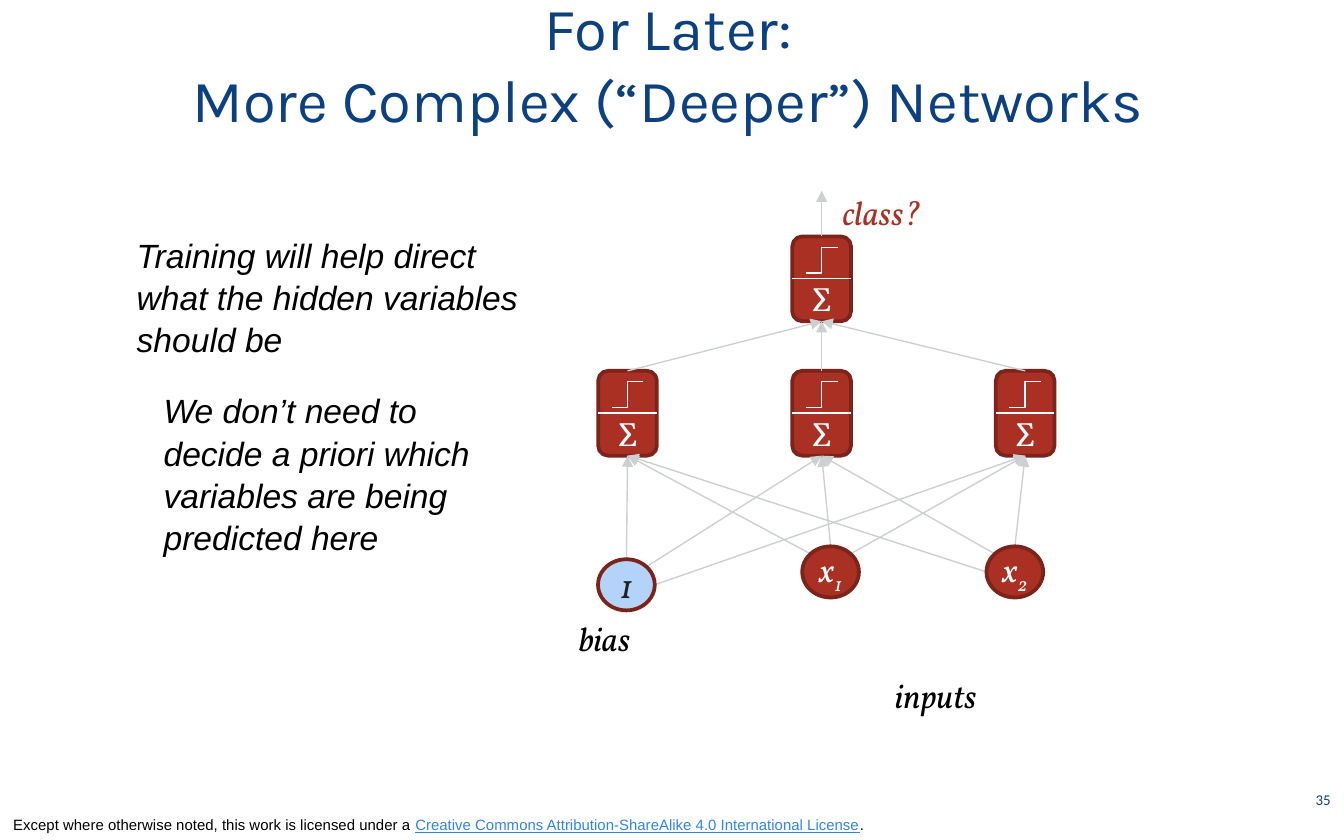
from collections import namedtuple
from math import cos, radians, sin

from pptx import Presentation
from pptx.dml.color import RGBColor
from pptx.enum import shapes, text
from pptx.oxml.ns import qn
from pptx.util import Pt
from lxml import etree

NAVY = RGBColor(0x0B, 0x41, 0x83)
BLACK = RGBColor(0, 0, 0)
INK = RGBColor(0x21, 0x21, 0x21)
WHITE = RGBColor(0xFF, 0xFF, 0xFF)
RED = RGBColor(0xA9, 0x30, 0x23)
DARK_RED = RGBColor(0x7D, 0x24, 0x1A)
PALE_BLUE = RGBColor(0xB4, 0xD3, 0xF8)
LINK_BLUE = RGBColor(0x30, 0x85, 0xED)
GRAY = RGBColor(0xCD, 0xD0, 0xD1)

SANS, SERIF = "Arial", "Vollkorn"
LEFT, CENTER, RIGHT = text.PP_ALIGN.LEFT, text.PP_ALIGN.CENTER, text.PP_ALIGN.RIGHT
TOP, MIDDLE, BOTTOM = (text.MSO_ANCHOR.TOP, text.MSO_ANCHOR.MIDDLE,
                       text.MSO_ANCHOR.BOTTOM)
KIND = shapes.MSO_SHAPE
JOIN = shapes.MSO_CONNECTOR

Box = namedtuple("Box", "left top width height")
NEURON_WIDTH, NEURON_HEIGHT = 31.4, 45.4
INPUT_WIDTH, INPUT_HEIGHT = 30.4, 27.4


def add_span(para, words, size=18, font=SANS, color=BLACK, italic=False,
             underline=False, baseline=0):
    """Add formatted text to a paragraph; newlines become line breaks."""
    for number, line in enumerate(words.split("\n")):
        if number:
            para.add_line_break()
        span = para.add_run()
        span.text = line
        span.font.size = Pt(size)
        span.font.name = font
        span.font.color.rgb = color
        span.font.italic = italic
        span.font.underline = underline
        if baseline:
            span._r.get_or_add_rPr().set("baseline", str(baseline * 1000))


def set_frame(shape, anchor=TOP, wrap=True, inset=(7.2, 3.6)):
    frame = shape.text_frame
    frame.auto_size = text.MSO_AUTO_SIZE.NONE
    frame.word_wrap = wrap
    frame.vertical_anchor = anchor
    frame.margin_left = frame.margin_right = Pt(inset[0])
    frame.margin_top = frame.margin_bottom = Pt(inset[1])
    return frame


def add_text(page, box, paragraphs, align=LEFT, anchor=TOP, wrap=True,
             spacing=None, **style):
    frame = set_frame(page.shapes.add_textbox(*map(Pt, box)), anchor, wrap)
    for number, words in enumerate(paragraphs):
        para = frame.add_paragraph() if number else frame.paragraphs[0]
        para.alignment = align
        if spacing:
            para.line_spacing = spacing
        add_span(para, words, **style)
    return frame


def add_node(parent, kind, box, fill, anchor):
    """Add an outlined shape and return its centred paragraph."""
    shape = parent.shapes.add_shape(kind, *map(Pt, box))
    shape.shadow.inherit = False
    shape.fill.solid()
    shape.fill.fore_color.rgb = fill
    shape.line.color.rgb = DARK_RED
    shape.line.width = Pt(2)
    para = set_frame(shape, anchor, inset=(0, 0)).paragraphs[0]
    para.alignment = CENTER
    return para


def add_line(parent, start, end, color, kind=JOIN.STRAIGHT, arrow=False):
    line = parent.shapes.add_connector(kind, *map(Pt, (*start, *end)))
    line.line.color.rgb = color
    line.line.width = Pt(0.75)
    if arrow:
        outline = line.line._get_or_add_ln()
        etree.SubElement(outline, qn("a:tailEnd"), type="triangle")
    etree.SubElement(line._element.spPr, qn("a:effectLst"))


def add_title(page, box):
    title = page.shapes.title
    title.left, title.top, title.width, title.height = map(Pt, box)
    para = set_frame(title, MIDDLE).paragraphs[0]
    para.alignment = CENTER
    add_span(para, "For Later:\nMore Complex (“Deeper”) Networks",
             size=32, font="Karla", color=NAVY)


def add_remarks(page, box):
    style = dict(italic=True, spacing=1.05)
    add_text(page, Box(box.left, box.top, box.width, 73),
             ["Training will help direct\nwhat the hidden variables\nshould be"],
             **style)
    add_text(page, Box(box.left + 14.4, box.top + 83.5, 202, 94.5),
             ["We don’t need to decide a priori which",
              "variables are being", "predicted here"], **style)


def add_neuron(page, box):
    """Sum below a divider, step function above it."""
    group = page.shapes.add_group_shape()
    para = add_node(group, KIND.ROUNDED_RECTANGLE, box, RED, BOTTOM)
    add_span(para, "Σ", font=SERIF, color=WHITE)
    left, top, width, _ = box
    add_line(group, (left, top + 22.5), (left + width, top + 22.5), WHITE)
    add_line(group, (left + 7.2, top + 19.5), (left + 24.2, top + 5.8), WHITE,
             kind=JOIN.ELBOW)


def add_network(page, box):
    hidden_top, output_top = box.top + 99.5, box.top + 27.5
    columns = [box.left + 33.2, box.left + 137.2, box.left + 246.2]

    # Neurons: three hidden, one output
    for center, top in [(x, hidden_top) for x in columns] + [(columns[1], output_top)]:
        add_neuron(page, Box(center - NEURON_WIDTH / 2, top,
                             NEURON_WIDTH, NEURON_HEIGHT))

    # Inputs: centre, label, subscript, fill, label colour, arrow angles
    inputs = [
        (32.6, 214.1, "1", "", PALE_BLUE, INK, (90, 45, 0)),
        (142, 207.2, "x", "1", RED, WHITE, (135, 90, 45)),
        (240.7, 207.2, "x", "2", RED, WHITE, (180, 135, 90)),
    ]
    for x, y, label, subscript, fill, color, angles in inputs:
        x, y = box.left + x, box.top + y
        for angle, column in zip(angles, columns):
            start = (x + INPUT_WIDTH / 2 * cos(radians(angle)),
                     y - INPUT_HEIGHT / 2 * sin(radians(angle)))
            add_line(page, start, (column, hidden_top + NEURON_HEIGHT), GRAY,
                     arrow=True)
        para = add_node(page, KIND.OVAL,
                        Box(x - INPUT_WIDTH / 2, y - INPUT_HEIGHT / 2,
                            INPUT_WIDTH, INPUT_HEIGHT), fill, MIDDLE)
        style = dict(font=SERIF, color=color, italic=True)
        add_span(para, label, **style)
        if subscript:
            add_span(para, subscript, baseline=-25, **style)

    # Arrows into and out of the output neuron
    for column in columns:
        add_line(page, (column, hidden_top),
                 (columns[1], output_top + NEURON_HEIGHT), GRAY, arrow=True)
    add_line(page, (columns[1], output_top), (columns[1], box.top + 3), GRAY,
             arrow=True)

    # Labels
    for x, y, width, words, color in [(0, 228.4, 46, "bias", BLACK),
                                      (169.3, 258.6, 63.4, "inputs", BLACK),
                                      (141.3, 0, 60.5, "class?", RED)]:
        add_text(page, Box(box.left + x, box.top + y, width, 28.8), [words],
                 wrap=False, font=SERIF, color=color, italic=True)


def add_footer(page, box):
    frame = add_text(page, Box(box.left, box.top + 17.2, 540, 16.6),
                     ["Except where otherwise noted, this work is licensed under a "],
                     anchor=BOTTOM, size=8)
    para = frame.paragraphs[0]
    add_span(para, "Creative Commons Attribution-ShareAlike 4.0 International License",
             size=8, color=LINK_BLUE, underline=True)
    add_span(para, ".", size=8)
    add_text(page, Box(box.left + box.width - 32.4, box.top, 32.4, 23.8), ["35"],
             align=RIGHT, anchor=MIDDLE, size=8, font="Calibri", color=NAVY)


def main():
    deck = Presentation()
    deck.slide_width, deck.slide_height = Pt(720), Pt(450)
    page = deck.slides.add_slide(deck.slide_layouts[5])
    add_title(page, Box(36.7, 10, 643, 46.8))
    add_remarks(page, Box(66.2, 121, 330, 178))
    add_network(page, Box(303, 99.2, 270, 288))
    add_footer(page, Box(0, 416.2, 720, 33.8))
    deck.save("out.pptx")


if __name__ == "__main__":
    main()
